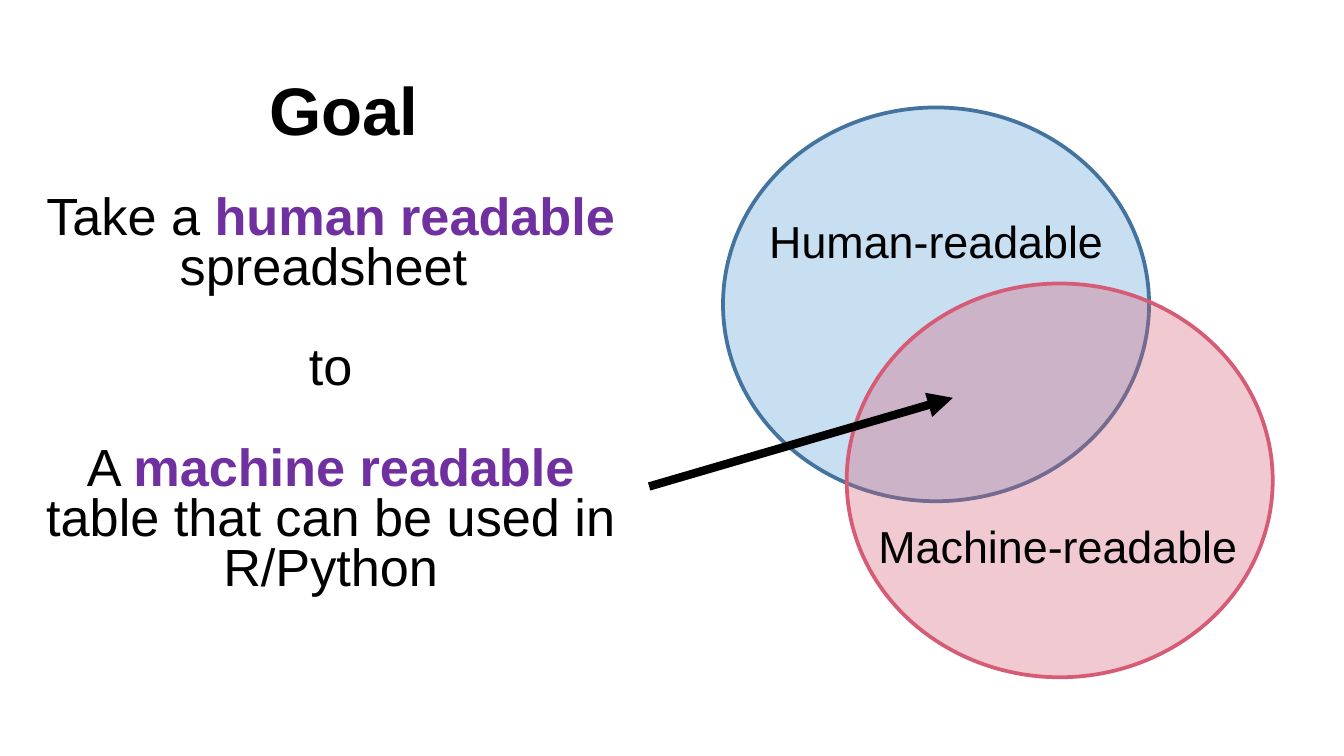
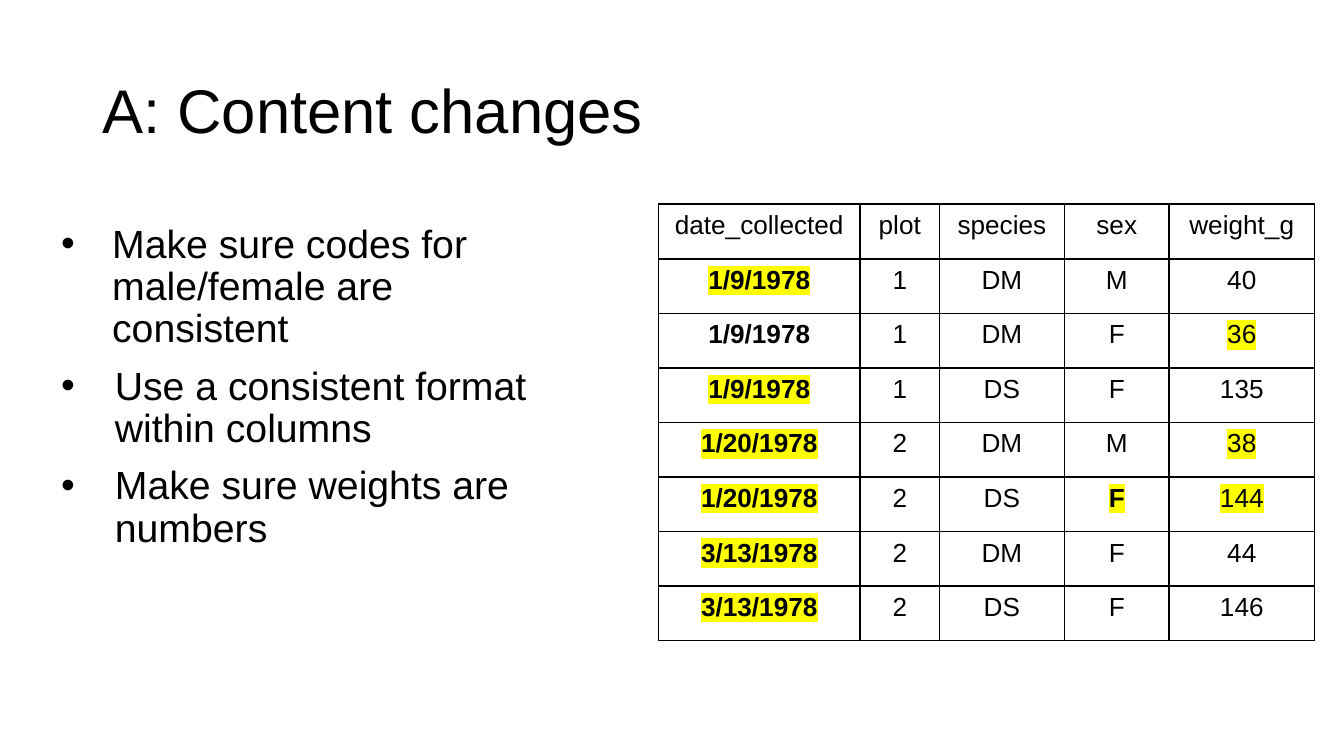
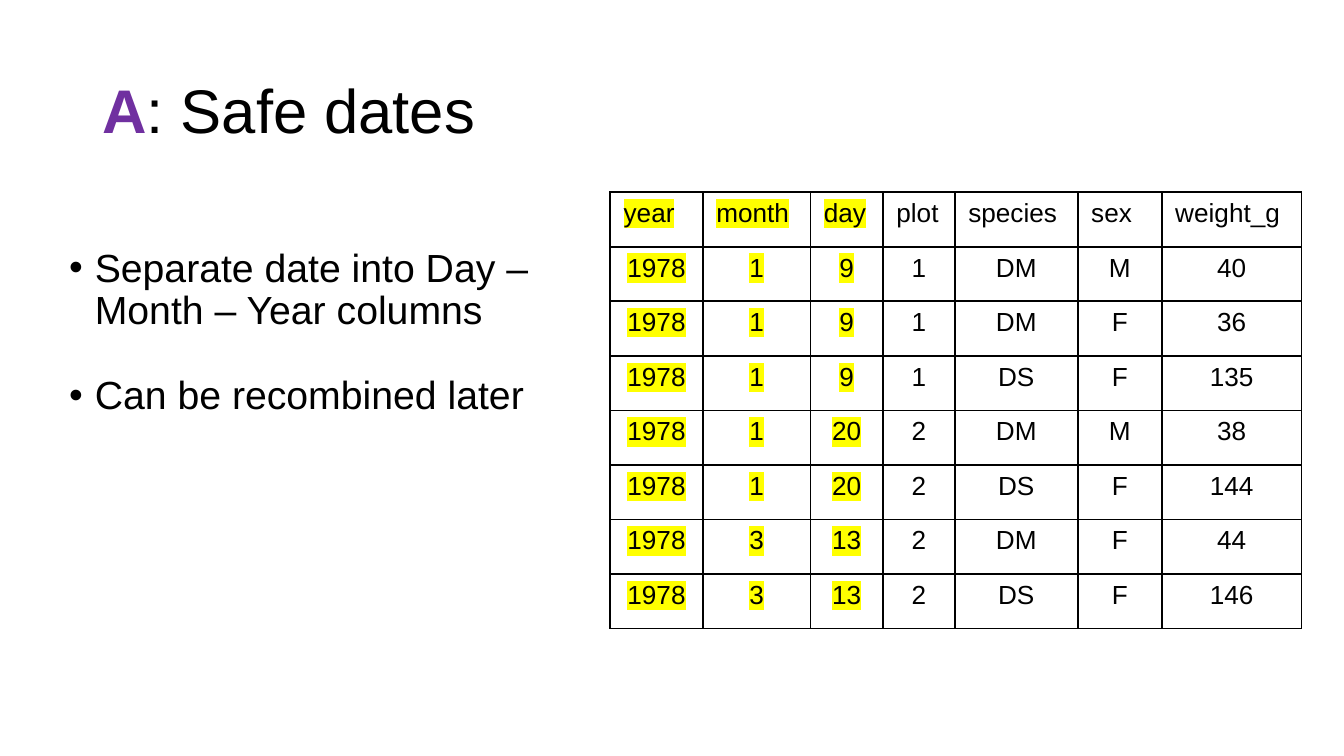
from dataclasses import dataclass

from lxml import etree
from pptx import Presentation
from pptx import util as u
from pptx.dml.color import RGBColor
from pptx.enum import shapes, text
from pptx.oxml.ns import qn

GOAL = {
    "title": "*Goal*",
    "lines": ["Take a |human readable| spreadsheet ", "to",
              "A |machine readable| table that can be used in R/Python"],
    # label, circle's left and top, label box, fill and line
    "sets": [("Human-readable", (53.8, 8), (55.6, 15.4, 28.1, 5), ("5B9BD5", "43739E")),
             ("Machine-readable", (63, 21.1), (62.7, 38.1, 32, 5), ("D65C75", "D65C75"))],
    "arrow": ((48.3, 36.2), (70.9, 29.6)),
}

DATES = ["1/9/1978"] * 3 + ["1/20/1978"] * 2 + ["3/13/1978"] * 2
HEAD = ["plot", "species", "sex", "weight_g"]
DATA = [["1", "DM", "M", "40"], ["1", "DM", "F", "36"], ["1", "DS", "F", "135"],
        ["2", "DM", "M", "38"], ["2", "DS", "F", "144"], ["2", "DM", "F", "44"],
        ["2", "DS", "F", "146"]]

CHANGES = {
    "title": "A: Content changes",
    "box": (2.85, 16.3, 40.3, 26.2),
    "lead": 0.1, "gap": 8,
    # text and hanging indent in inches
    "points": [("Make sure codes for male/female are consistent", 0.38),
               ("Use a consistent format within columns", 0.4),
               ("Make sure weights are numbers", 0.4)],
    "at": (49, 15.2),
    "cols": (15, 5.9, 9.3, 7.8, 10.8),
    "rows": [["date_collected"] + HEAD] + [[d] + r for d, r in zip(DATES, DATA)],
    "marks": {(r, 0) for r in (1, 3, 4, 5, 6, 7)} | {(2, 4), (4, 4), (5, 3), (5, 4)},
    "bold": {(r, 0) for r in range(1, 8)} | {(5, 3)},
    "head": text.PP_ALIGN.CENTER,
}

PARTS = [d.split("/") for d in DATES]
SAFE = {
    "title": "|A|: Safe dates",
    "box": (4.45, 18.1, 42.5, 29.4),
    "lead": 0, "gap": 22.8,
    "points": [("Separate date into Day – Month – Year columns", 0.19),
               ("Can be recombined later", 0.19)],
    "at": (45.4, 14.3),
    "cols": (6.9, 8, 5.4, 5.35, 9.15, 6.25, 10.4),
    "rows": [["year", "month", "day"] + HEAD]
            + [[y, m, d] + r for (m, d, y), r in zip(PARTS, DATA)],
    "marks": {(r, c) for r in range(8) for c in range(3)},
    "bold": set(),
    "head": text.PP_ALIGN.LEFT,
}


@dataclass(frozen=True)
class Theme:
    font: str = "Arial"
    ink: str = "000000"
    accent: str = "7030A0"
    mark: str = "FFFF00"
    goal: int = 36
    title: int = 33
    lead: int = 28
    label: int = 24
    point: int = 21
    cell: int = 14


T = Theme()
WIDE = 10
HIGH = WIDE * 9 / 16
UNIT = WIDE / 100  # the slide is a grid of 100 columns of square units
ROW = 4.06
DISC = (31.7, 29.3)
INSET = (0.07, 0.04)


def grid(*units):
    return [u.Inches(n * UNIT) for n in units]


def rgb(code):
    return RGBColor.from_string(code)


def sub(node, tag, **attrs):
    return etree.SubElement(node, qn(tag), attrs)


def style(run, size, color=T.ink, bold=False):
    font = run.font
    font.name, font.size, font.bold = T.font, u.Pt(size), bold
    font.color.rgb = rgb(color)


def write(para, words, size, align=text.PP_ALIGN.LEFT, space=None):
    """Fill a paragraph; |words| are bold in the accent colour, *words* just bold."""
    para.alignment, para.line_spacing = align, space
    bold = words.startswith("*")
    for n, part in enumerate(words.strip("*").split("|")):
        if part:
            run = para.add_run()
            run.text = part
            style(run, size, T.accent if n % 2 else T.ink, bold or n % 2 == 1)


def setup(frame, anchor=text.MSO_ANCHOR.TOP, inset=INSET):
    frame.word_wrap, frame.auto_size = True, text.MSO_AUTO_SIZE.NONE
    frame.vertical_anchor = anchor
    frame.margin_left = frame.margin_right = u.Inches(inset[0])
    frame.margin_top = frame.margin_bottom = u.Inches(inset[1])
    return frame


def start(deck, words, size=T.title, width=86.2, align=text.PP_ALIGN.LEFT):
    slide = deck.slides.add_slide(deck.slide_layouts[5])
    head = slide.shapes.title
    head.left, head.top, head.width, head.height = grid(6.9, 3, width, 10.9)
    frame = setup(head.text_frame, text.MSO_ANCHOR.MIDDLE)
    write(frame.paragraphs[0], words, size, align, 0.9)
    return slide


def paras(slide, box, lines, gap):
    """Yield each line with its paragraph, set apart by gap points."""
    frame = setup(slide.shapes.add_textbox(*grid(*box)).text_frame)
    for n, line in enumerate(lines):
        para = frame.add_paragraph() if n else frame.paragraphs[0]
        para.space_before = u.Pt(gap if n else 0)
        yield para, line


def circle(slide, at, fill, line):
    disc = slide.shapes.add_shape(shapes.MSO_SHAPE.OVAL, *grid(*at, *DISC))
    disc.shadow.inherit = False
    disc.fill.solid()
    disc.fill.fore_color.rgb = rgb(fill)
    sub(disc.fill._xPr.find(qn("a:solidFill"))[0], "a:alpha", val="33000")
    disc.line.color.rgb, disc.line.width = rgb(line), u.Pt(2)


def arrow(slide, tail, tip):
    line = slide.shapes.add_connector(shapes.MSO_CONNECTOR.STRAIGHT, *grid(*tail, *tip))
    line.line.color.rgb, line.line.width = rgb(T.ink), u.Pt(4.5)
    sub(line.line._get_or_add_ln(), "a:tailEnd", type="triangle")
    sub(line._element.spPr, "a:effectLst")


def bullets(slide, page):
    for para, (words, hang) in paras(slide, page["box"], page["points"], page["gap"]):
        write(para, words, T.point, space=0.9)
        props = para._p.get_or_add_pPr()
        props.set("marL", str(u.Inches(page["lead"] + hang)))
        props.set("indent", str(-u.Inches(hang)))
        sub(sub(props, "a:buClr"), "a:srgbClr", val=T.ink)
        sub(props, "a:buFont", typeface=T.font)
        sub(props, "a:buChar", char="•")


def border(cell):
    props = cell._tc.get_or_add_tcPr()
    for n, side in enumerate(("a:lnL", "a:lnR", "a:lnT", "a:lnB")):
        edge = etree.Element(qn(side), w=str(u.Pt(1)))
        sub(sub(edge, "a:solidFill"), "a:srgbClr", val=T.ink)
        props.insert(n, edge)


def mark(run):
    hue = etree.Element(qn("a:highlight"))
    sub(hue, "a:srgbClr", val=T.mark)
    run.font._element.find(qn("a:solidFill")).addnext(hue)


def table(slide, page):
    rows, cols = page["rows"], page["cols"]
    size = (sum(cols), ROW * len(rows))
    sheet = slide.shapes.add_table(len(rows), len(cols), *grid(*page["at"], *size)).table
    sheet.first_row = sheet.horz_banding = False
    for col, wide in zip(sheet.columns, grid(*cols)):
        col.width = wide
    for r, row in enumerate(rows):
        for c, words in enumerate(row):
            cell = sheet.cell(r, c)
            cell.fill.background()
            border(cell)
            para = cell.text_frame.paragraphs[0]
            para.text = words
            para.alignment = text.PP_ALIGN.CENTER if r else page["head"]
            run = para.runs[0]
            style(run, T.cell, bold=(r, c) in page["bold"])
            if (r, c) in page["marks"]:
                mark(run)


def goal(deck):
    mid = text.PP_ALIGN.CENTER
    slide = start(deck, GOAL["title"], T.goal, 37.4, mid)
    for para, words in paras(slide, (2.4, 14.1, 44.4, 40.1), GOAL["lines"], 27):
        write(para, words, T.lead, mid, 0.8)
    for _, at, _, hues in GOAL["sets"]:
        circle(slide, at, *hues)
    for words, _, box, _ in GOAL["sets"]:
        label = slide.shapes.add_textbox(*grid(*box))
        frame = setup(label.text_frame, inset=(0.1, 0.05))
        write(frame.paragraphs[0], words, T.label, mid)
    arrow(slide, *GOAL["arrow"])


def main():
    deck = Presentation()
    deck.slide_width, deck.slide_height = u.Inches(WIDE), u.Inches(HIGH)
    goal(deck)
    for page in (CHANGES, SAFE):
        slide = start(deck, page["title"])
        bullets(slide, page)
        table(slide, page)
    deck.save("out.pptx")


if __name__ == "__main__":
    main()
